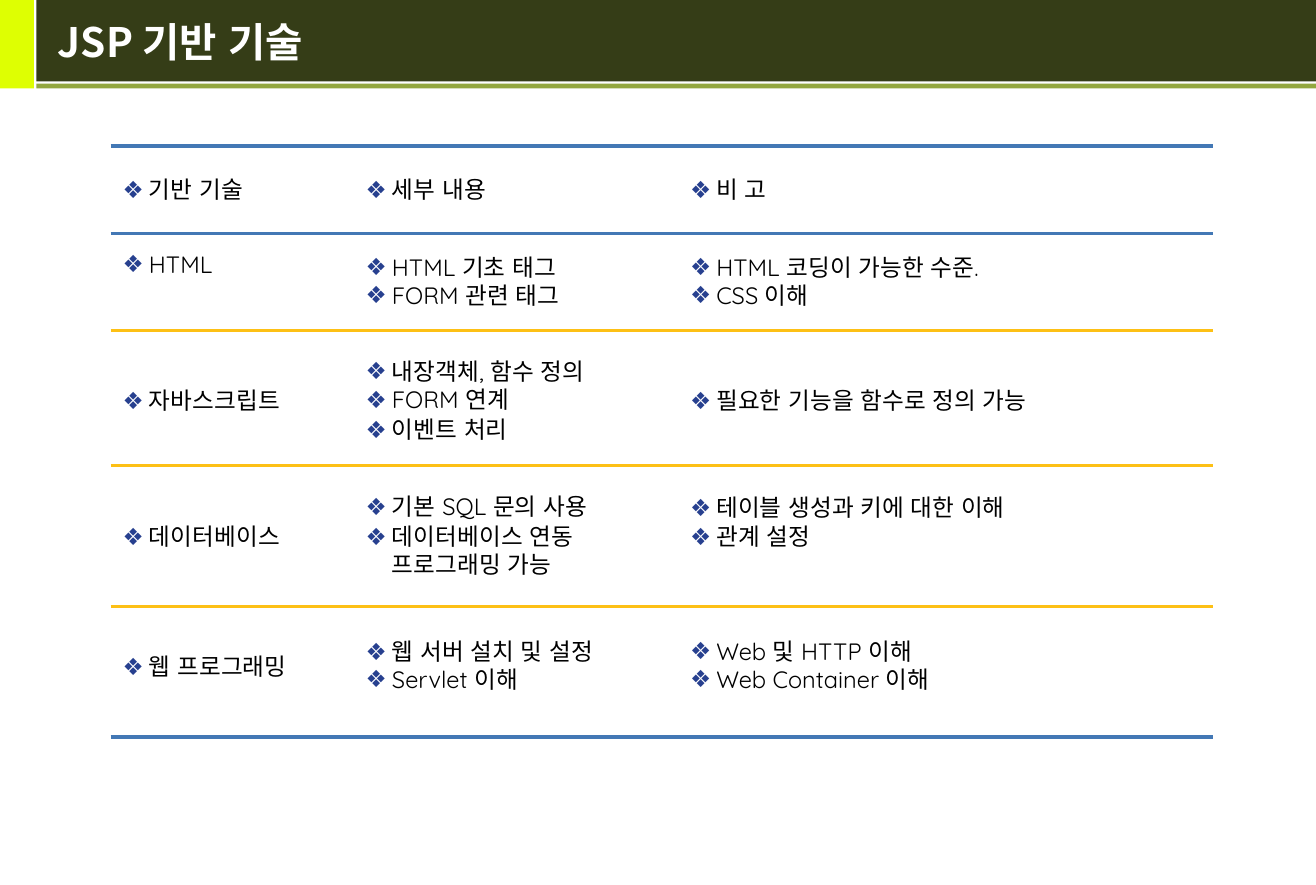
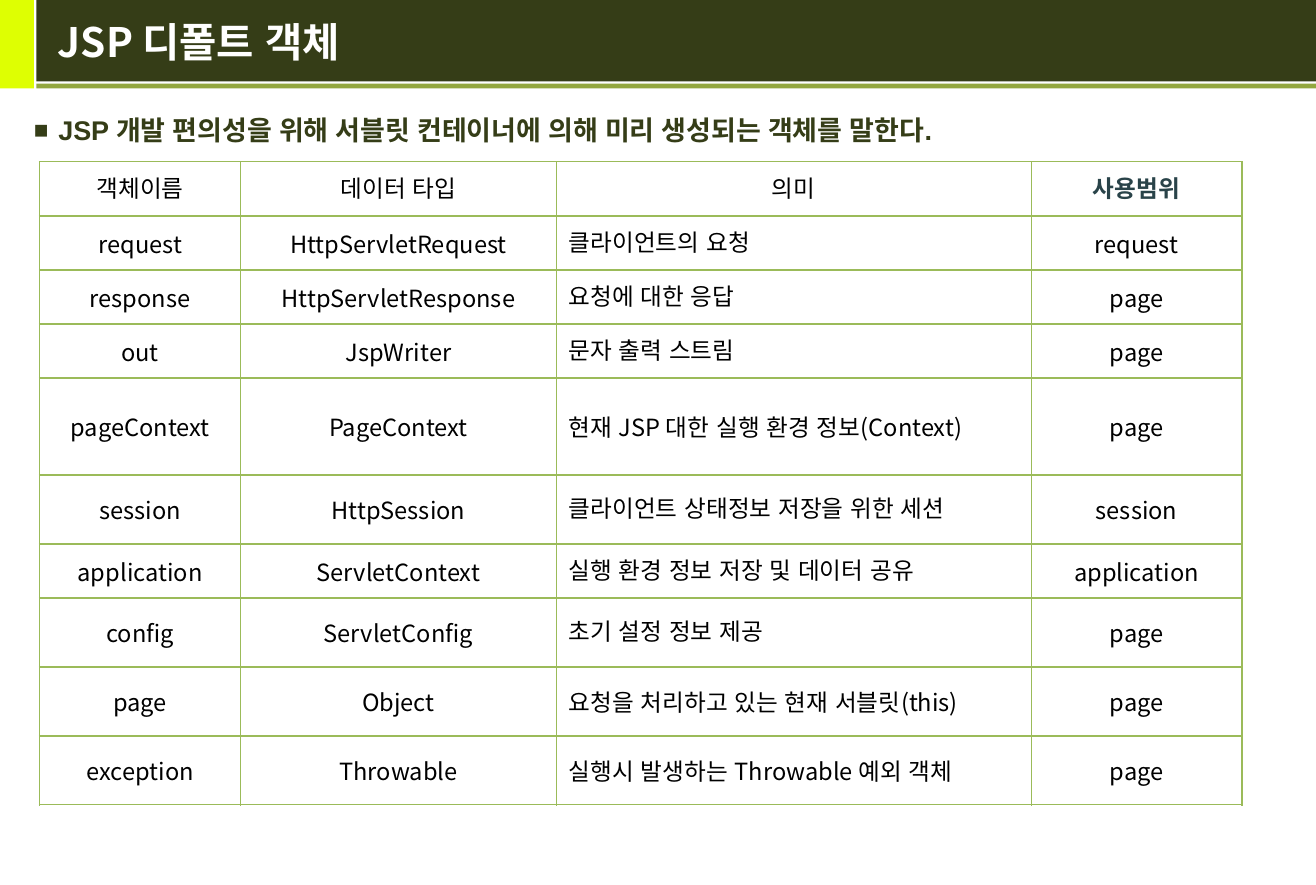
from copy import deepcopy

from lxml import etree
from pptx import Presentation
from pptx.dml.color import RGBColor
from pptx.enum.shapes import MSO_CONNECTOR, MSO_SHAPE
from pptx.enum.text import MSO_ANCHOR, PP_ALIGN
from pptx.oxml.ns import qn
from pptx.util import Cm, Pt

RECT = MSO_SHAPE.RECTANGLE
STRAIGHT = MSO_CONNECTOR.STRAIGHT
MIDDLE = MSO_ANCHOR.MIDDLE
LEFT, CENTER = PP_ALIGN.LEFT, PP_ALIGN.CENTER

LIME = RGBColor(0xDE, 0xFF, 0x02)
DARK_OLIVE = RGBColor(0x35, 0x3D, 0x17)
OLIVE = RGBColor(0x93, 0xA7, 0x3F)
WHITE = RGBColor(0xFF, 0xFF, 0xFF)
BLACK = RGBColor(0x00, 0x00, 0x00)
NAVY = RGBColor(0x27, 0x40, 0x8F)
BLUE = RGBColor(0x43, 0x78, 0xB5)
AMBER = RGBColor(0xFD, 0xC0, 0x15)
GREEN = RGBColor(0x9B, 0xBB, 0x59)
SLATE = RGBColor(0x29, 0x43, 0x49)

NOTO, QUICKSAND, ARIAL = "Noto Sans CJK KR", "Quicksand", "Arial"


def write(tf, text, font=NOTO, size=14, color=BLACK, bold=False, align=LEFT, spacing=None,
          bullet=None, bullet_color=NAVY, bullet_size=100, indent=0.55):
    for i, line in enumerate(text.split("\n")):
        p = tf.add_paragraph() if i else tf.paragraphs[0]
        p.text = line
        p.alignment = align
        if spacing:
            p.line_spacing = Pt(spacing)
        for r in p.runs:
            r.font.name, r.font.size, r.font.bold = font, Pt(size), bold
            r.font.color.rgb = color
            etree.SubElement(r._r.rPr, qn("a:ea"), typeface=ARIAL)
        for br in p._p.findall(qn("a:br")):
            br.append(deepcopy(p.runs[0]._r.rPr))
        if bullet:
            pPr = p._p.get_or_add_pPr()
            pPr.set("marL", str(Cm(indent)))
            pPr.set("indent", str(-Cm(indent)))
            clr = etree.SubElement(pPr, qn("a:buClr"))
            etree.SubElement(clr, qn("a:srgbClr"), val=str(bullet_color))
            etree.SubElement(pPr, qn("a:buSzPct"), val=str(bullet_size * 1000))
            etree.SubElement(pPr, qn("a:buFont"), typeface=ARIAL)
            etree.SubElement(pPr, qn("a:buChar"), char=bullet)


def draw_table(s, x, y, widths, heights, border=None):
    tbl = s.shapes.add_table(len(heights), len(widths), Cm(x), Cm(y),
                             Cm(sum(widths)), Cm(sum(heights))).table
    tbl.first_row = tbl.horz_banding = False
    for col, w in zip(tbl.columns, widths):
        col.width = Cm(w)
    for row, h in zip(tbl.rows, heights):
        row.height = Cm(h)
        for cell in row.cells:
            tcPr = cell._tc.get_or_add_tcPr()
            for side in "LRTB":
                ln = etree.SubElement(tcPr, qn("a:ln" + side), w=str(Pt(1)))
                if border:
                    fill = etree.SubElement(ln, qn("a:solidFill"))
                    etree.SubElement(fill, qn("a:srgbClr"), val=str(border))
                else:
                    etree.SubElement(ln, qn("a:noFill"))
            cell.fill.background()
            cell.vertical_anchor = MIDDLE
    return tbl


prs = Presentation()
prs.slide_width, prs.slide_height = Cm(27.51), Cm(18.49)

BANDS = [
    (0, 0, 0.71, 1.85, LIME),
    (0.76, 0, 26.75, 1.7, DARK_OLIVE),
    (0.76, 1.75, 26.75, 0.1, OLIVE),
]
slides = []
for title in ["JSP 기반 기술", "JSP 디폴트 객체"]:
    s = prs.slides.add_slide(prs.slide_layouts[6])
    for x, y, w, h, color in BANDS:
        sp = s.shapes.add_shape(RECT, Cm(x), Cm(y), Cm(w), Cm(h))
        sp.shadow.inherit = False
        sp.fill.solid()
        sp.fill.fore_color.rgb = color
        sp.line.fill.background()
    tf = s.shapes.add_textbox(Cm(0.96), 0, Cm(26.2), Cm(1.73)).text_frame
    tf.word_wrap = True
    tf.vertical_anchor = MIDDLE
    write(tf, title, size=24, color=WHITE, bold=True)
    slides.append(s)
skills_slide, objects_slide = slides

SKILLS = [
    ("기반 기술", "세부 내용", "비 고"),
    ("HTML", "HTML 기초 태그\nFORM 관련 태그", "HTML 코딩이 가능한 수준.\nCSS 이해"),
    ("자바스크립트", "내장객체, 함수 정의\nFORM 연계\n이벤트 처리",
     "필요한 기능을 함수로 정의 가능"),
    ("데이터베이스", "기본 SQL 문의 사용\n데이터베이스 연동\v프로그래밍 가능",
     "테이블 생성과 키에 대한 이해\n관계 설정"),
    ("웹 프로그래밍", "웹 서버 설치 및 설정\nServlet 이해",
     "Web 및 HTTP 이해\nWeb Container 이해"),
]
RULES = [(3.05, BLUE, 2.25), (4.88, BLUE, 2.25), (6.91, AMBER, 1.5),
         (9.73, AMBER, 1.5), (12.67, AMBER, 1.5), (15.39, BLUE, 2.25)]
edges = [y for y, color, width in RULES]
columns = [5.08, 6.78, 11.18]
left = 2.31
tbl = draw_table(skills_slide, left, edges[0], columns,
                 [bottom - top for top, bottom in zip(edges, edges[1:])])
for row, texts in zip(tbl.rows, SKILLS):
    for cell, text in zip(row.cells, texts):
        write(cell.text_frame, text, font=QUICKSAND, spacing=16.8, bullet="❖")
tbl.cell(1, 0).margin_bottom = Cm(0.85)
tbl.cell(3, 2).margin_bottom = Cm(0.72)
for cell in tbl.rows[2].cells:
    cell.margin_top = Cm(0.23)
for cell in tbl.rows[4].cells:
    cell.margin_bottom = Cm(0.36)
for y, color, width in RULES:
    line = skills_slide.shapes.add_connector(STRAIGHT, Cm(left), Cm(y),
                                             Cm(left + sum(columns)), Cm(y))
    line.line.color.rgb = color
    line.line.width = Pt(width)
    etree.SubElement(line._element.spPr, qn("a:effectLst"))

tf = objects_slide.shapes.add_textbox(Cm(0.46), Cm(2.2), Cm(26.6), Cm(1.02)).text_frame
tf.word_wrap = True
tf.vertical_anchor = MIDDLE
write(tf, "JSP 개발 편의성을 위해 서블릿 컨테이너에 의해 미리 생성되는 객체를 말한다.",
      font=ARIAL, size=16, color=DARK_OLIVE, bold=True,
      bullet="■", bullet_color=DARK_OLIVE, bullet_size=90, indent=0.51)

OBJECTS = [
    ("객체이름", "데이터 타입", "의미", "사용범위"),
    ("request", "HttpServletRequest", "클라이언트의 요청", "request"),
    ("response", "HttpServletResponse", "요청에 대한 응답", "page"),
    ("out", "JspWriter", "문자 출력 스트림", "page"),
    ("pageContext", "PageContext", "현재 JSP 대한 실행 환경 정보(Context)", "page"),
    ("session", "HttpSession", "클라이언트 상태정보 저장을 위한 세션", "session"),
    ("application", "ServletContext", "실행 환경 정보 저장 및 데이터 공유", "application"),
    ("config", "ServletConfig", "초기 설정 정보 제공", "page"),
    ("page", "Object", "요청을 처리하고 있는 현재 서블릿(this)", "page"),
    ("exception", "Throwable", "실행시 발생하는 Throwable 예외 객체", "page"),
]
LOW, MID, TALL = 1.13, 1.44, 2.03
tbl = draw_table(objects_slide, 0.83, 3.38, [4.2, 6.6, 9.93, 4.4],
                 [LOW] * 4 + [TALL, MID, LOW] + [MID] * 3, border=GREEN)
for i, (row, texts) in enumerate(zip(tbl.rows, OBJECTS)):
    for j, (cell, text) in enumerate(zip(row.cells, texts)):
        scope_head = i == 0 and j == 3
        write(cell.text_frame, text, color=SLATE if scope_head else BLACK,
              bold=scope_head, align=LEFT if i and j == 2 else CENTER)

prs.save("out.pptx")
